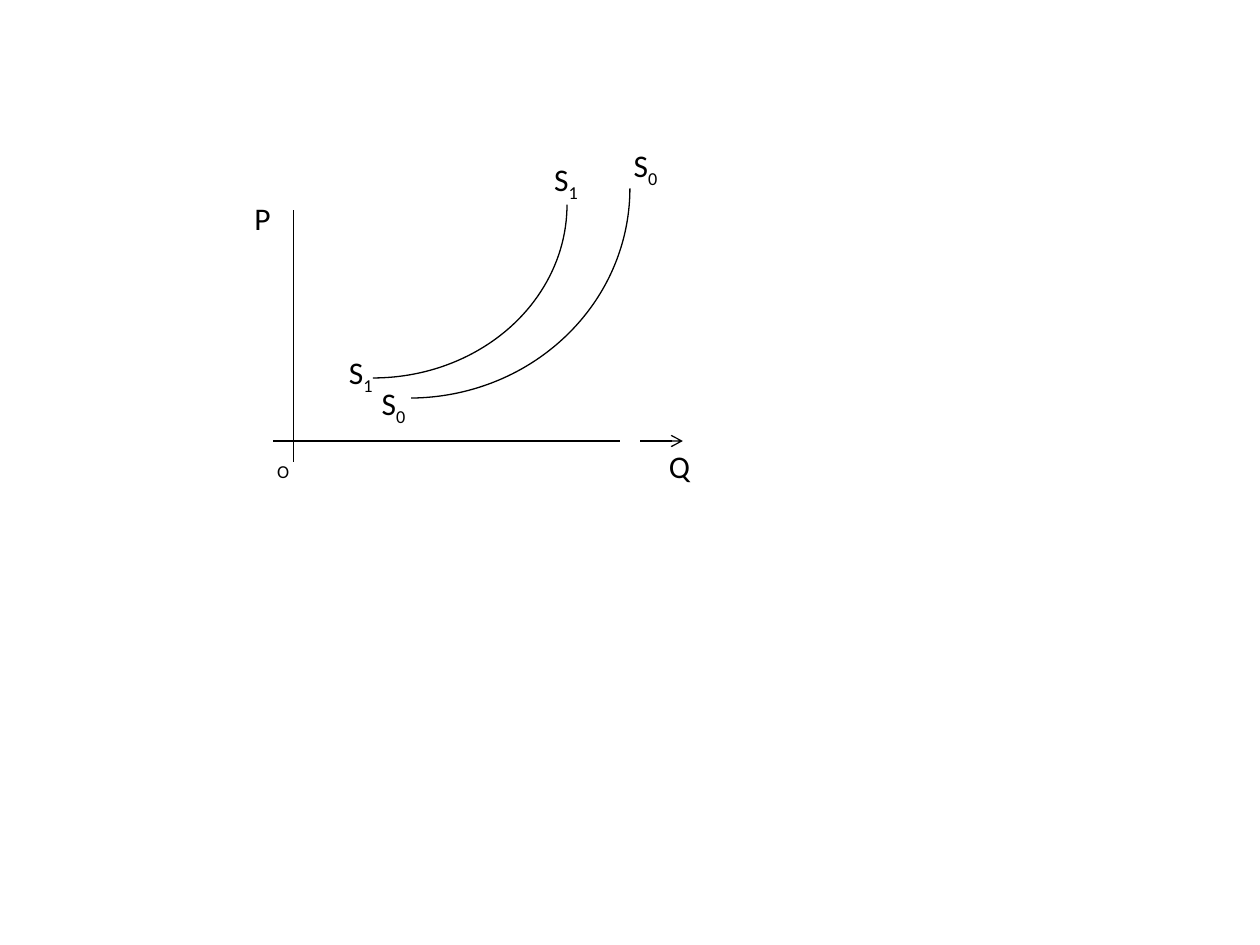
from lxml import etree
from pptx import Presentation
from pptx.dml.color import RGBColor
from pptx.enum import shapes, text
from pptx.oxml import ns
from pptx.util import Inches, Pt

BLACK = RGBColor(0, 0, 0)
FONT = "Calibri"

# Content: start x, start y, end x, end y, arrowhead
AXES = [
    (2.33, 1.67, 2.33, 3.67, False),
    (2.17, 3.5, 4.92, 3.5, False),
    (5.08, 3.5, 5.42, 3.5, True),
]
# Supply curves: left, top, width, height, start angle in degrees
CURVES = [
    (1.42, 0.25, 3.08, 2.75, 270),
    (1.5, -0.17, 3.5, 3.33, 270.46),
]
# Labels: normal text, subscript, left, top, width, height
LABELS = [
    ("S", "0", 2.93, 3, 0.4, 0.4),
    ("S", "1", 4.3, 1.22, 0.4, 0.4),
    ("S", "1", 2.67, 2.75, 0.4, 0.4),
    ("S", "0", 4.93, 1.11, 0.4, 0.4),
    ("Q", "", 5.21, 3.5, 0.37, 0.4),
    ("", "O", 2.1, 3.44, 0.31, 0.3),
    ("P", "", 1.92, 1.53, 0.33, 0.4),
]


def style_line(line):
    line.color.rgb = BLACK
    line.width = Pt(0.75)


def add_axis(page, x1, y1, x2, y2, arrow):
    axis = page.shapes.add_connector(
        shapes.MSO_CONNECTOR.STRAIGHT, *map(Inches, (x1, y1, x2, y2)))
    style_line(axis.line)
    properties = axis._element.spPr
    etree.SubElement(properties, ns.qn("a:effectLst"))
    if arrow:
        outline = properties.find(ns.qn("a:ln"))
        etree.SubElement(outline, ns.qn("a:tailEnd"), type="arrow")


def add_curve(page, left, top, width, height, start):
    curve = page.shapes.add_shape(
        shapes.MSO_SHAPE.ARC, *map(Inches, (left, top, width, height)))
    curve.shadow.inherit = False
    curve.fill.background()
    style_line(curve.line)
    # Adjustments count in 100000ths, angles in 60000ths of a degree
    curve.adjustments[0] = start * 0.6
    curve.adjustments[1] = 0
    curve._element.spPr.find(ns.qn("a:xfrm")).set("flipV", "1")


def add_label(page, base, subscript, *place):
    box = page.shapes.add_textbox(*map(Inches, place))
    frame = box.text_frame
    frame.word_wrap = False
    frame.auto_size = text.MSO_AUTO_SIZE.SHAPE_TO_FIT_TEXT
    para = frame.paragraphs[0]
    for words, lowered in ((base, False), (subscript, True)):
        if not words:
            continue
        span = para.add_run()
        span.text = words
        span.font.name = FONT
        span.font.size = Pt(18)
        span.font.color.rgb = BLACK
        if lowered:
            span._r.get_or_add_rPr().set("baseline", "-25000")


def main():
    deck = Presentation()
    deck.slide_width, deck.slide_height = Inches(10), Inches(7.5)
    page = deck.slides.add_slide(deck.slide_layouts[6])

    # Axes, curves, then labels on top
    for axis in AXES:
        add_axis(page, *axis)
    for curve in CURVES:
        add_curve(page, *curve)
    for label in LABELS:
        add_label(page, *label)

    deck.save("out.pptx")


if __name__ == "__main__":
    main()
